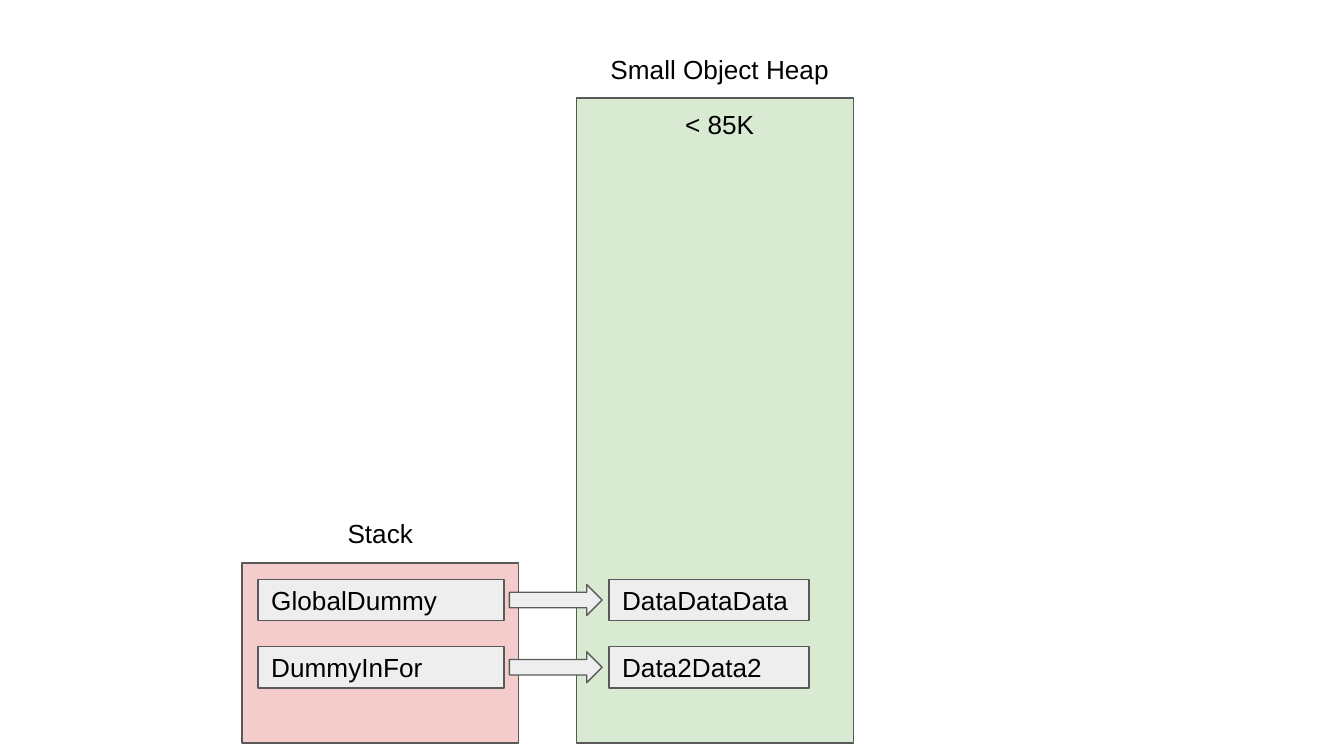
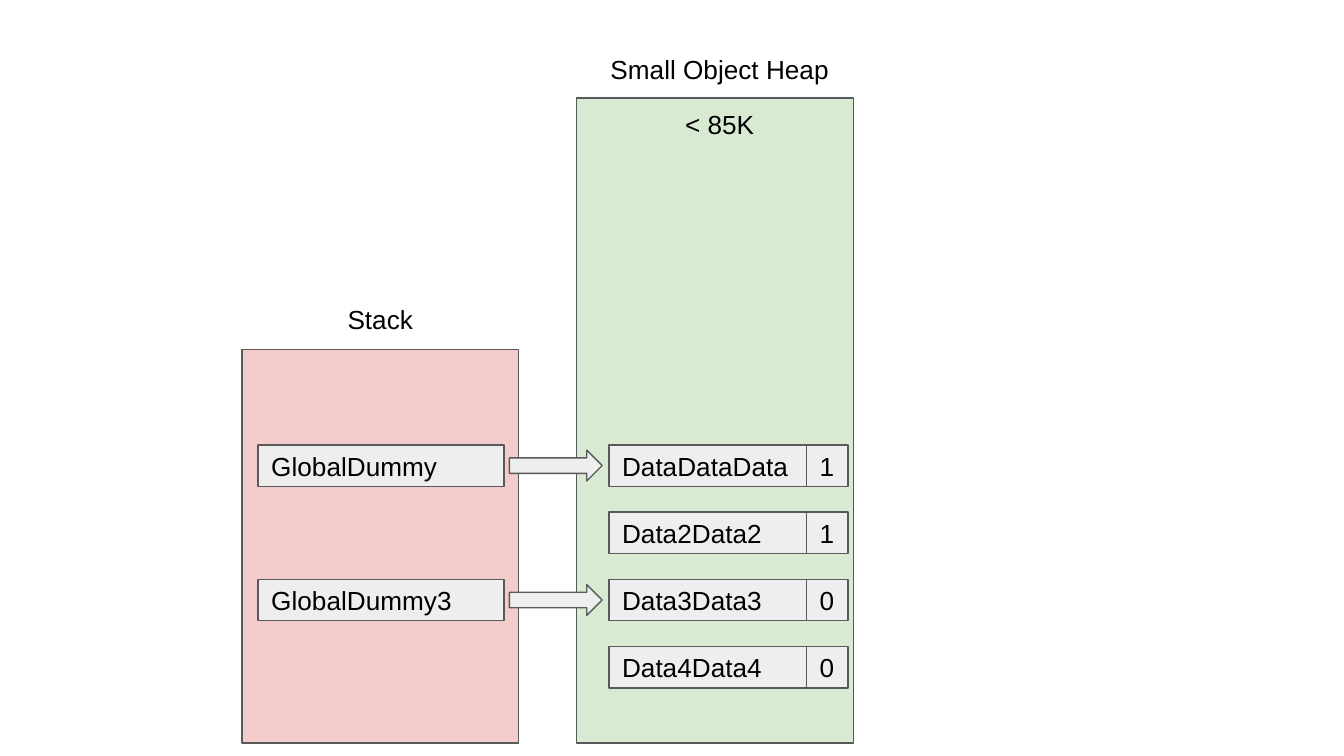
from dataclasses import dataclass
from typing import Optional

from pptx import Presentation
from pptx import util as u
from pptx.dml.color import RGBColor
from pptx.enum import shapes, text

COLORS = {
    "stack": "F4CCCC",
    "heap": "D9EAD3",
    "cell": "EEEEEE",
    "outline": "595959",
    "ink": "000000",
}
FONT = "Arial"
FONT_SIZE = u.Pt(14)
INSET = u.Inches(0.1)
SLIDE_WIDTH = 10

REGION_WIDTH = 2.06
REGION_BOTTOM = 5.53
STACK_LEFT, HEAP_LEFT = 1.8, 4.29
HEAP_TOP = 0.73
CAPTION_HEIGHT = 0.44

CELL_HEIGHT = 0.31
ROW_PITCH = 0.5
LAST_ROW_TOP = 4.81
VARIABLE_LEFT, VARIABLE_WIDTH = 1.92, 1.83
ARROW_LEFT, ARROW_WIDTH, ARROW_HEIGHT = 3.79, 0.69, 0.23
DATA_LEFT, DATA_WIDTH = 4.53, 1.49
GENERATION_LEFT = 6.0


@dataclass(frozen=True)
class Row:
    data: str
    variable: Optional[str] = None
    generation: Optional[int] = None


@dataclass(frozen=True)
class MemoryState:
    stack_top: float
    rows: tuple[Row, ...]


STATES = (
    MemoryState(4.19, (
        Row("DataDataData", "GlobalDummy"),
        Row("Data2Data2", "DummyInFor"),
    )),
    MemoryState(2.6, (
        Row("DataDataData", "GlobalDummy", 1),
        Row("Data2Data2", generation=1),
        Row("Data3Data3", "GlobalDummy3", 0),
        Row("Data4Data4", generation=0),
    )),
)


def rgb(role: str) -> RGBColor:
    return RGBColor.from_string(COLORS[role])


def write(shape, words: str, align, anchor) -> None:
    frame = shape.text_frame
    frame.text = words
    frame.word_wrap = True
    frame.vertical_anchor = anchor
    frame.margin_left = frame.margin_right = INSET
    frame.margin_top = frame.margin_bottom = INSET
    paragraph = frame.paragraphs[0]
    paragraph.alignment = align
    font = paragraph.runs[0].font
    font.name, font.size = FONT, FONT_SIZE
    font.color.rgb = rgb("ink")


def draw_block(slide, left: float, top: float, width: float, height: float,
               role: str, kind=shapes.MSO_SHAPE.RECTANGLE):
    block = slide.shapes.add_shape(
        kind, u.Inches(left), u.Inches(top), u.Inches(width), u.Inches(height))
    block.shadow.inherit = False
    block.fill.solid()
    block.fill.fore_color.rgb = rgb(role)
    block.line.color.rgb = rgb("outline")
    block.line.width = u.Pt(0.75)
    return block


def draw_region(slide, left: float, top: float, role: str) -> None:
    draw_block(slide, left, top, REGION_WIDTH, REGION_BOTTOM - top, role)


def draw_caption(slide, words: str, left: float, top: float, width: float) -> None:
    caption = slide.shapes.add_textbox(
        u.Inches(left), u.Inches(top), u.Inches(width), u.Inches(CAPTION_HEIGHT))
    write(caption, words, text.PP_ALIGN.CENTER, text.MSO_ANCHOR.TOP)
    caption.text_frame.auto_size = text.MSO_AUTO_SIZE.SHAPE_TO_FIT_TEXT


def draw_cell(slide, words: str, left: float, top: float, width: float) -> None:
    cell = draw_block(slide, left, top, width, CELL_HEIGHT, "cell")
    write(cell, words, text.PP_ALIGN.LEFT, text.MSO_ANCHOR.MIDDLE)


def draw_row(slide, row: Row, top: float) -> None:
    if row.variable is not None:
        draw_cell(slide, row.variable, VARIABLE_LEFT, top, VARIABLE_WIDTH)
        arrow_top = top + (CELL_HEIGHT - ARROW_HEIGHT) / 2
        draw_block(slide, ARROW_LEFT, arrow_top, ARROW_WIDTH, ARROW_HEIGHT,
                   "cell", shapes.MSO_SHAPE.RIGHT_ARROW)
    draw_cell(slide, row.data, DATA_LEFT, top, DATA_WIDTH)
    if row.generation is not None:
        draw_cell(slide, str(row.generation), GENERATION_LEFT, top, CELL_HEIGHT)


def draw_state(slide, state: MemoryState) -> None:
    draw_region(slide, STACK_LEFT, state.stack_top, "stack")
    draw_region(slide, HEAP_LEFT, HEAP_TOP, "heap")
    draw_caption(slide, "Stack", 2.03, state.stack_top - CAPTION_HEIGHT, 1.6)
    draw_caption(slide, "Small Object Heap", 4.35, 0.3, 2.01)
    draw_caption(slide, "< 85K", 4.35, 0.71, 2.01)
    first_top = LAST_ROW_TOP - ROW_PITCH * (len(state.rows) - 1)
    for index, row in enumerate(state.rows):
        draw_row(slide, row, first_top + index * ROW_PITCH)


def main() -> None:
    deck = Presentation()
    deck.slide_width = u.Inches(SLIDE_WIDTH)
    deck.slide_height = u.Inches(SLIDE_WIDTH * 9 / 16)
    blank = deck.slide_layouts[6]
    for state in STATES:
        draw_state(deck.slides.add_slide(blank), state)
    deck.save("out.pptx")


main()
